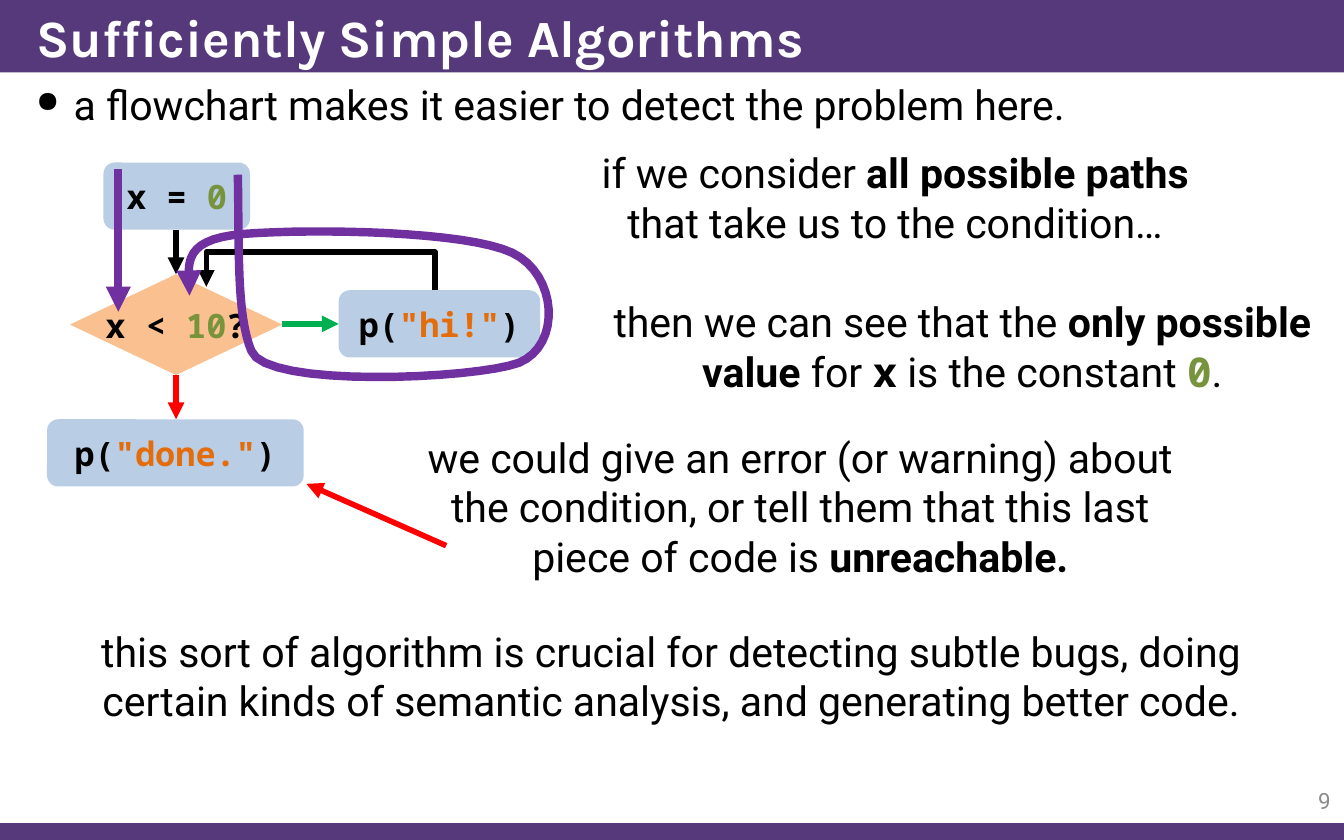
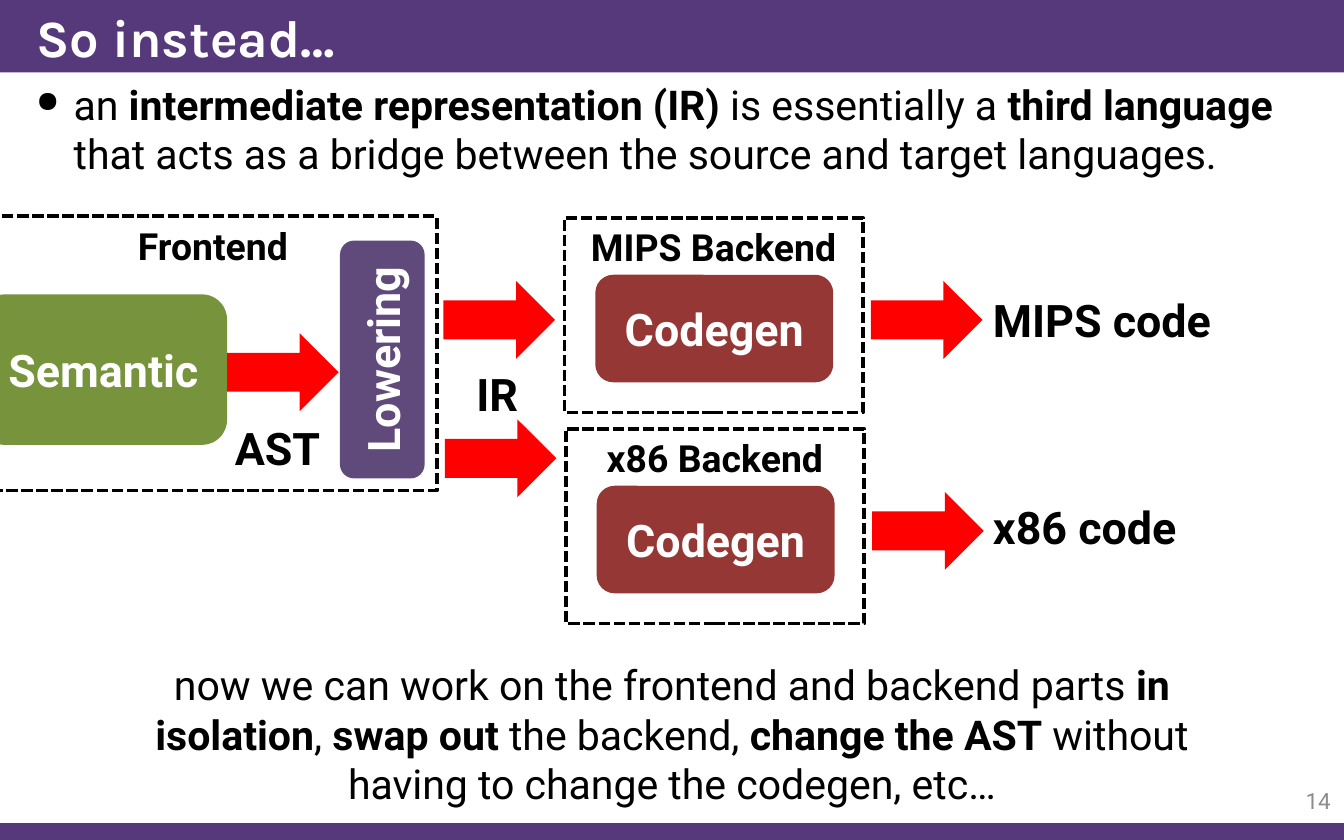
"""Build two lecture slides on flowchart analysis and intermediate representations."""
import lxml.etree
import pptx
import pptx.dml.color
import pptx.enum.dml
import pptx.enum.shapes
import pptx.enum.text
import pptx.oxml.ns
import pptx.util

KIND = pptx.enum.shapes.MSO_SHAPE
ALIGN = pptx.enum.text.PP_ALIGN
ANCHOR = pptx.enum.text.MSO_ANCHOR
qn = pptx.oxml.ns.qn


class Theme:
    """Colours and type styles."""

    rgb = pptx.dml.color.RGBColor.from_string
    band, white, black, grey = map(rgb, ("56397B", "FFFFFF", "000000", "8C8C8C"))
    step, choice, number, string = map(rgb, ("B9CDE5", "FAC090", "77933C", "E46C0A"))
    red, green, trace = map(rgb, ("FF0000", "00B050", "7030A0"))
    semantic, codegen, lowering = map(rgb, ("77933C", "953735", "604A7B"))
    title = {"name": "Karla", "size": pptx.util.Pt(28), "bold": True, "rgb": white}
    body = {"name": "Roboto", "size": pptx.util.Pt(22), "bold": False, "rgb": black}
    folio = {**body, "size": pptx.util.Pt(12), "rgb": grey}
    label = {**body, "size": pptx.util.Pt(24), "bold": True}
    stage = {**label, "rgb": white}
    caption = {**label, "size": pptx.util.Pt(20)}
    code = {**label, "name": "Noto Sans Mono", "size": pptx.util.Pt(18)}


BOLD = {"bold": True}
MONO = {"name": "Noto Sans Mono", "bold": True}
NUMBER = {"rgb": Theme.number}
STRING = {"rgb": Theme.string}

deck = pptx.Presentation()
deck.slide_width, deck.slide_height = pptx.util.Inches(10), pptx.util.Inches(6.25)
CELL = deck.slide_width // 100
COLUMNS, ROWS = 100, 62.5
BAND_ROWS = 5.4


def place(page, kind, area, fill=None):
    """Add a shape, or a text box when kind is None, on grid cells."""
    area = [round(CELL * length) for length in area]
    if kind is None:
        return page.shapes.add_textbox(*area)
    box = page.shapes.add_shape(kind, *area)
    box.shadow.inherit = False
    box.line.fill.background()
    if fill is None:
        box.fill.background()
    else:
        box.fill.solid()
        box.fill.fore_color.rgb = fill
    return box


def write(box, runs, look, align=ALIGN.CENTER, anchor=ANCHOR.MIDDLE, wrap=True):
    """Fill a box with one paragraph of (text, format changes) runs."""
    frame = box.text_frame
    layout = {"word_wrap": wrap, "vertical_anchor": anchor,
              "auto_size": pptx.enum.text.MSO_AUTO_SIZE.NONE}
    for name, value in layout.items():
        setattr(frame, name, value)
    para = frame.paragraphs[0]
    para.alignment = align
    for text, changes in runs:
        span = para.add_run()
        span.text = text
        for name, value in {**look, **changes}.items():
            setattr(span.font.color if name == "rgb" else span.font, name, value)
    return para


layout = deck.slide_layouts[5]
for holder in list(layout.placeholders)[1:]:
    layout.shapes.element.remove(holder.element)

leads = [
    ("Sufficiently Simple Algorithms", "9", 5.4,
     [("a flowchart makes it easier to detect the problem here.", {})]),
    ("So instead…", "14", 9.5,
     [("an ", {}), ("intermediate representation (IR) ", BOLD), ("is essentially a ", {}),
      ("third language", BOLD),
      (" that acts as a bridge between the source and target languages.", {})]),
]
pages = []
for heading, folio, body_rows, lead in leads:
    page = deck.slides.add_slide(layout)
    pages.append(page)
    title = page.shapes.title
    spot = {"left": 1.7, "top": 0, "width": COLUMNS - 1.7, "height": BAND_ROWS}
    for name, value in spot.items():
        setattr(title, name, round(CELL * value))
    write(title, [(heading, {})], Theme.title, ALIGN.LEFT)

    body = place(page, None, (1.7, BAND_ROWS, COLUMNS - 1.7, body_rows))
    para = write(body, lead, Theme.body, ALIGN.LEFT, ANCHOR.TOP)
    indent = para._p.get_or_add_pPr()
    indent.set("marL", str(pptx.util.Inches(0.28)))
    indent.set("indent", str(-pptx.util.Inches(0.28)))
    lxml.etree.SubElement(indent, qn("a:buSzPct")).set("val", "72000")
    lxml.etree.SubElement(indent, qn("a:buChar")).set("char", "●")

    number = place(page, None, (92.5, 57.9, 7.5, 3.3))
    write(number, [(folio, {})], Theme.folio, ALIGN.RIGHT)

flow, bridge = pages
bands = [place(flow, KIND.RECTANGLE, (0, top, COLUMNS, rows), Theme.band)
         for top, rows in ((0, BAND_ROWS), (ROWS - 1.25, 1.25))]
for band in bands:
    layout.shapes.element.insert(2, band.element)

LINK = pptx.enum.shapes.MSO_CONNECTOR
elbow = flow.shapes.add_connector(
    LINK.ELBOW, *[round(CELL * length) for length in (23.2, 13.5, 24.5, 30.5)])
frame = elbow.element.spPr.find(qn("a:xfrm"))
frame.set("rot", "16200000")
frame.set("flipV", "1")
bend = lxml.etree.SubElement(elbow.element.spPr.find(".//" + qn("a:avLst")), qn("a:gd"))
bend.set("name", "adj1")
bend.set("fmla", "val 300000")

steps = [
    (KIND.ROUNDED_RECTANGLE, (7.7, 12.1, 10.9, 5), Theme.step, [("x = ", {}), ("0", NUMBER)]),
    (KIND.DIAMOND, (5.2, 20.4, 15.8, 7.5), Theme.choice,
     [("x < ", {}), ("10", NUMBER), ("?", {})]),
    (KIND.ROUNDED_RECTANGLE, (3.5, 31.2, 19.1, 5), Theme.step,
     [("p(", {}), ('"done."', STRING), (")", {})]),
    (KIND.ROUNDED_RECTANGLE, (25.2, 21.6, 15, 5), Theme.step,
     [("p(", {}), ('"hi!"', STRING), (")", {})]),
]
for kind, area, fill, runs in steps:
    write(place(flow, kind, area, fill), runs, Theme.code, wrap=kind != KIND.DIAMOND)

strokes = [(elbow, Theme.black, 3)]
arrows = [
    ((13.1, 17.1, 13.1, 20.4), Theme.black, 3),
    ((13.1, 27.9, 13.1, 31.2), Theme.red, 3),
    ((21, 24.1, 25.2, 24.1), Theme.green, 3),
    ((33.2, 40.6, 22.8, 36), Theme.red, 3),
    ((8.8, 12.6, 8.8, 23.2), Theme.trace, 4.5),
]
for ends, color, width in arrows:
    arrow = flow.shapes.add_connector(
        LINK.STRAIGHT, *[round(CELL * length) for length in ends])
    strokes.append((arrow, color, width))

loop_knots = [
    (17.7, 13), (17.8, 18.7), (17.6, 23.4), (18.7, 26.1), (19.7, 28.9), (35.3, 28.2),
    (38.6, 27), (41.8, 25.7), (41.5, 20.4), (38.1, 18.8), (34.7, 17.2), (23.5, 17),
    (18.2, 17.4), (13, 17.8), (14.2, 20.1), (14.1, 22),
]
SAMPLES = 16
loop_points = []
for first in range(0, len(loop_knots) - 1, 3):
    for sample in range(1, SAMPLES + 1):
        t = sample / SAMPLES
        weights = ((1 - t) ** 3, 3 * t * (1 - t) ** 2, 3 * t ** 2 * (1 - t), t ** 3)
        loop_points.append([
            CELL * sum(weight * knot[axis]
                       for weight, knot in zip(weights, loop_knots[first:first + 4]))
            for axis in (0, 1)])
builder = flow.shapes.build_freeform(*[round(CELL * length) for length in loop_knots[0]])
builder.add_line_segments(loop_points, close=False)
loop_trace = builder.convert_to_shape()
loop_trace.fill.background()
strokes.append((loop_trace, Theme.trace, 4.5))

for stroke, color, width in strokes:
    stroke.line.color.rgb = color
    stroke.line.width = pptx.util.Pt(width)
    outline = stroke.element.spPr.find(qn("a:ln"))
    lxml.etree.SubElement(outline, qn("a:tailEnd")).set("type", "triangle")
    lxml.etree.SubElement(stroke.element.spPr, qn("a:effectLst"))

remarks = [
    (flow, (41.2, 10.5, 50.8, 8.4),
     [("if we consider ", {}), ("all possible paths ", BOLD),
      ("that take us to the condition…", {})]),
    (flow, (44, 21.6, 55.2, 8.4),
     [("then we can see that the ", {}), ("only possible value ", BOLD), ("for ", {}),
      ("x", MONO), (" is the constant ", {}), ("0", {**MONO, **NUMBER}), (".", {})]),
    (flow, (30.8, 31.7, 57.5, 12.1),
     [("we could give an error (or warning) about the condition, or tell them "
       "that this last piece of code is ", {}), ("unreachable.", BOLD)]),
    (flow, (6.3, 46.1, 87.3, 8.4),
     [("this sort of algorithm is crucial for detecting subtle bugs, doing certain "
       "kinds of semantic analysis, and generating better code.", {})]),
    (bridge, (10, 48.6, 80, 12.1),
     [("now we can work on the frontend and backend parts ", {}), ("in isolation", BOLD),
      (", ", {}), ("swap out", BOLD), (" the backend, ", {}), ("change the AST", BOLD),
      (" without having to change the codegen, etc…", {})]),
]
for page, area, runs in remarks:
    write(place(page, None, area), runs, Theme.body, anchor=ANCHOR.TOP)

ARROW = (8.3, 5.8)
enclosures = [("Frontend", (-0.8, 16.1, 33.3, 20.4))]
stages = [("Semantic", (-1.5, 21.9, 18.4, 11.2), Theme.semantic, 0),
          ("Lowering", (19.6, 23.6, 17.7, 6.3), Theme.lowering, 270)]
flows = [(16.9, 24.8)]
labels = [("IR", (34.2, 26.8, 5.6, 5), ALIGN.CENTER),
          ("AST", (16.5, 30.8, 8.3, 5), ALIGN.CENTER)]
targets = [("MIPS", 42, 16.2, 20.9, 21.3), ("x86", 42.1, 31.9, 31.2, 36.7)]
for target, left, top, inlet_top, label_top in targets:
    enclosures.append((f"{target} Backend", (left, top, 22.2, 14.5)))
    stages.append(("Codegen", (left + 2.3, top + 4.25, 17.7, 8), Theme.codegen, 0))
    flows += [(left - 9, inlet_top), (left + 22.8, top + 4.7)]
    labels.append((f"{target} code", (72.9, label_top, 19.6, 5), ALIGN.LEFT))

for text, area in enclosures:
    box = place(bridge, KIND.RECTANGLE, area)
    box.line.color.rgb = Theme.black
    box.line.width = pptx.util.Pt(2)
    box.line.dash_style = pptx.enum.dml.MSO_LINE.SQUARE_DOT
    write(box, [(text, {})], Theme.caption, anchor=ANCHOR.TOP)
for text, area, fill, turn in stages:
    box = place(bridge, KIND.ROUNDED_RECTANGLE, area, fill)
    box.rotation = turn
    write(box, [(text, {})], Theme.stage)
for corner in flows:
    place(bridge, KIND.RIGHT_ARROW, corner + ARROW, Theme.red)
for text, area, align in labels:
    write(place(bridge, None, area), [(text, {})], Theme.label, align, ANCHOR.TOP,
          wrap=align == ALIGN.LEFT)

deck.save("out.pptx")
